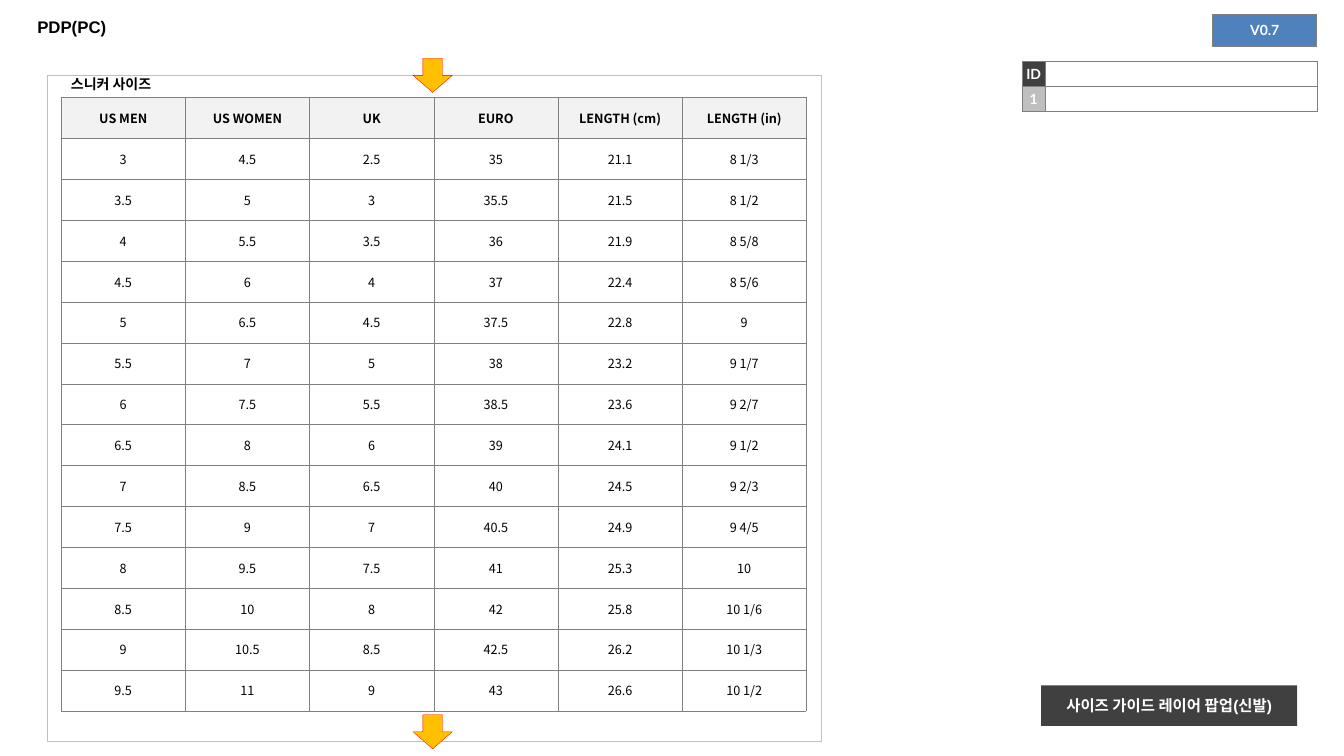
from dataclasses import dataclass
from typing import Optional

from lxml import etree
from pptx import Presentation
from pptx import util as u
from pptx.dml.color import RGBColor
from pptx.enum import shapes, text
from pptx.oxml.ns import qn


@dataclass(frozen=True)
class Theme:
    latin: str = "Arial"
    label: str = "Lato"
    korean: str = "Noto Sans CJK KR"
    black: str = "000000"
    white: str = "FFFFFF"
    dark: str = "404040"
    silver: str = "BFBFBF"
    header: str = "F2F2F2"
    version: str = "4F81BD"
    note_border: str = "7F7F7F"
    size_border: str = "808080"
    arrow: str = "FFC000"
    arrow_line: str = "FF0000"
    title_size: float = 12
    button_size: float = 11
    label_size: float = 10
    table_size: float = 9
    note_size: float = 8
    hairline: float = 0.25


THEME = Theme()


@dataclass(frozen=True)
class Box:
    left: float
    top: float
    width: float
    height: float

    def emu(self) -> tuple:
        return tuple(u.Cm(v) for v in (self.left, self.top, self.width, self.height))


@dataclass(frozen=True)
class Style:
    size: float
    font: str
    color: str = THEME.black
    bold: bool = True
    align: text.PP_ALIGN = text.PP_ALIGN.CENTER


@dataclass(frozen=True)
class Entry:
    words: str
    style: Style
    fill: Optional[str] = None
    bullet: bool = False


@dataclass(frozen=True)
class Grid:
    left: float
    top: float
    columns: list
    rows: list
    entries: list
    border: str
    border_width: float
    inset: Optional[float] = None


@dataclass(frozen=True)
class Block:
    kind: shapes.MSO_SHAPE
    box: Box
    fill: str
    line: Optional[str] = None


LABEL = Style(THEME.label_size, THEME.label, THEME.white)
NOTE = Style(THEME.note_size, THEME.label, bold=False, align=text.PP_ALIGN.LEFT)
HEADING = Style(THEME.table_size, THEME.korean)
VALUE = Style(THEME.table_size, THEME.korean, bold=False)
BUTTON = Style(THEME.button_size, THEME.latin, THEME.white)
TITLE = Style(THEME.title_size, THEME.latin, align=text.PP_ALIGN.LEFT)
CAPTION = Style(THEME.label_size, THEME.korean, align=text.PP_ALIGN.LEFT)

HEADINGS = ["US MEN", "US WOMEN", "UK", "EURO", "LENGTH (cm)", "LENGTH (in)"]
SIZES = [
    ["3", "4.5", "2.5", "35", "21.1", "8 1/3"],
    ["3.5", "5", "3", "35.5", "21.5", "8 1/2"],
    ["4", "5.5", "3.5", "36", "21.9", "8 5/8"],
    ["4.5", "6", "4", "37", "22.4", "8 5/6"],
    ["5", "6.5", "4.5", "37.5", "22.8", "9"],
    ["5.5", "7", "5", "38", "23.2", "9 1/7"],
    ["6", "7.5", "5.5", "38.5", "23.6", "9 2/7"],
    ["6.5", "8", "6", "39", "24.1", "9 1/2"],
    ["7", "8.5", "6.5", "40", "24.5", "9 2/3"],
    ["7.5", "9", "7", "40.5", "24.9", "9 4/5"],
    ["8", "9.5", "7.5", "41", "25.3", "10"],
    ["8.5", "10", "8", "42", "25.8", "10 1/6"],
    ["9", "10.5", "8.5", "42.5", "26.2", "10 1/3"],
    ["9.5", "11", "9", "43", "26.6", "10 1/2"],
]

VERSION = Grid(30.56, 0.37, [2.62], [0.8],
               [[Entry("V0.7", LABEL, THEME.version)]], THEME.note_border, 1, 0)
NOTES = Grid(25.76, 1.55, [0.58, 6.86], [0.62, 0.64], [
    [Entry("ID", LABEL, THEME.dark), Entry("", NOTE)],
    [Entry("1", LABEL, THEME.silver), Entry("", NOTE, bullet=True)],
], THEME.note_border, 1, 0)
SIZE_GUIDE = Grid(
    1.54, 2.46, [3.13] * len(HEADINGS), [1.03] * (len(SIZES) + 1),
    [[Entry(words, HEADING, THEME.header) for words in HEADINGS]]
    + [[Entry(words, VALUE, THEME.white) for words in row] for row in SIZES],
    THEME.size_border, THEME.hairline)

POPUP = Block(shapes.MSO_SHAPE.RECTANGLE, Box(26.24, 17.27, 6.45, 1.02), THEME.dark)
FRAME = Block(shapes.MSO_SHAPE.RECTANGLE, Box(1.19, 1.9, 19.51, 16.79),
              THEME.white, THEME.silver)
ARROWS = [Block(shapes.MSO_SHAPE.DOWN_ARROW, Box(10.41, top, 0.99, 0.86),
                THEME.arrow, THEME.arrow_line) for top in (18.01, 1.47)]


def rgb(color: str) -> RGBColor:
    return RGBColor.from_string(color)


def write(frame, words: str, style: Style) -> None:
    frame.text = words
    paragraph = frame.paragraphs[0]
    paragraph.alignment = style.align
    for run in paragraph.runs:
        run.font.size = u.Pt(style.size)
        run.font.bold = style.bold
        run.font.color.rgb = rgb(style.color)
        run.font.name = style.font
        etree.SubElement(run.font._element, qn("a:ea"), typeface=THEME.korean)
    if not words:
        etree.SubElement(paragraph._p, qn("a:endParaRPr"), sz=str(int(style.size * 100)))


def add_bullet(paragraph) -> None:
    properties = paragraph._p.get_or_add_pPr()
    properties.set("marL", str(u.Cm(0.25)))
    properties.set("indent", str(u.Cm(-0.25)))
    etree.SubElement(properties, qn("a:buFont"), typeface=THEME.latin)
    etree.SubElement(properties, qn("a:buChar"), char="•")


def add_borders(cell, color: str, width: float) -> None:
    properties = cell._tc.get_or_add_tcPr()
    for order, side in enumerate(("lnL", "lnR", "lnT", "lnB")):
        line = etree.Element(qn(f"a:{side}"), w=str(u.Pt(width)))
        solid = etree.SubElement(line, qn("a:solidFill"))
        etree.SubElement(solid, qn("a:srgbClr"), val=color)
        properties.insert(order, line)


def draw_grid(slide, grid: Grid) -> None:
    box = Box(grid.left, grid.top, sum(grid.columns), sum(grid.rows))
    table = slide.shapes.add_table(len(grid.rows), len(grid.columns), *box.emu()).table
    table.first_row = table.horz_banding = False
    for column, width in zip(table.columns, grid.columns):
        column.width = u.Cm(width)
    for row, height, entries in zip(table.rows, grid.rows, grid.entries):
        row.height = u.Cm(height)
        for cell, entry in zip(row.cells, entries):
            write(cell.text_frame, entry.words, entry.style)
            cell.vertical_anchor = text.MSO_ANCHOR.MIDDLE
            if grid.inset is not None:
                cell.margin_top = cell.margin_bottom = u.Cm(grid.inset)
                cell.margin_left = cell.margin_right = u.Cm(grid.inset if entry.words else 0.1)
            if entry.bullet:
                add_bullet(cell.text_frame.paragraphs[0])
            if entry.fill:
                cell.fill.solid()
                cell.fill.fore_color.rgb = rgb(entry.fill)
            else:
                cell.fill.background()
            add_borders(cell, grid.border, grid.border_width)


def draw_block(slide, block: Block, words: str = "") -> None:
    shape = slide.shapes.add_shape(block.kind, *block.box.emu())
    shape.shadow.inherit = False
    shape.fill.solid()
    shape.fill.fore_color.rgb = rgb(block.fill)
    if block.line:
        shape.line.color.rgb = rgb(block.line)
        shape.line.width = u.Pt(THEME.hairline)
    else:
        shape.line.fill.background()
    if words:
        write(shape.text_frame, words, BUTTON)
        shape.text_frame.vertical_anchor = text.MSO_ANCHOR.MIDDLE


def draw_text(slide, box: Box, words: str, style: Style, anchor: text.MSO_ANCHOR) -> None:
    frame = slide.shapes.add_textbox(*box.emu()).text_frame
    frame.word_wrap = True
    frame.vertical_anchor = anchor
    write(frame, words, style)


def main() -> None:
    deck = Presentation()
    deck.slide_width, deck.slide_height = u.Cm(33.87), u.Cm(19.05)
    slide = deck.slides.add_slide(deck.slide_layouts[6])
    draw_text(slide, Box(0.69, 0.18, 32.49, 0.99), "PDP(PC)", TITLE, text.MSO_ANCHOR.MIDDLE)
    draw_grid(slide, VERSION)
    draw_grid(slide, NOTES)
    draw_block(slide, POPUP, "사이즈 가이드 레이어 팝업(신발)")
    for block in (FRAME, *ARROWS):
        draw_block(slide, block)
    draw_grid(slide, SIZE_GUIDE)
    draw_text(slide, Box(1.54, 1.78, 18.78, 0.69), "스니커 사이즈", CAPTION, text.MSO_ANCHOR.TOP)
    deck.save("out.pptx")


if __name__ == "__main__":
    main()
